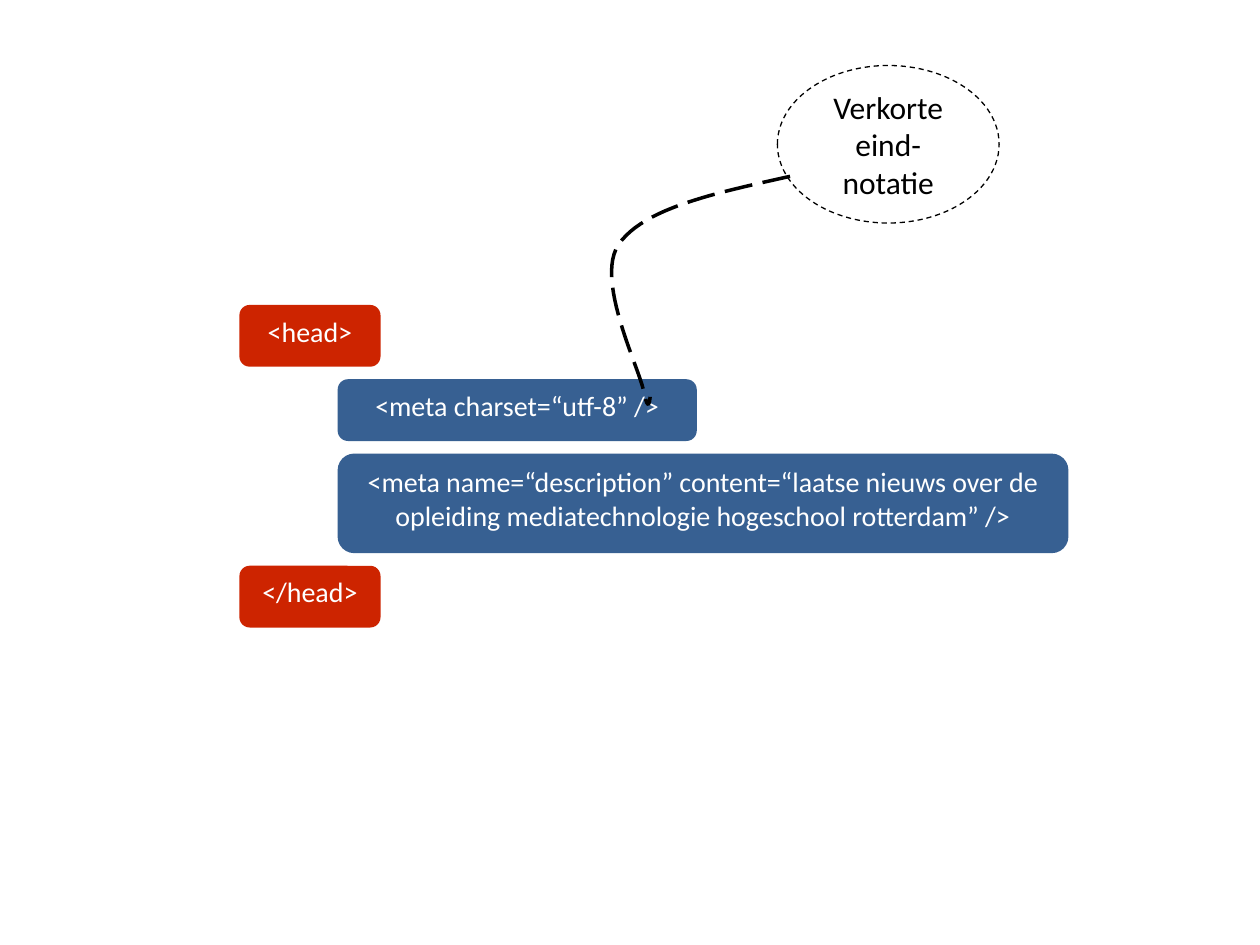
import pptx
import pptx.util
import pptx.dml.color
import pptx.enum.dml
import pptx.enum.shapes
import pptx.enum.text

Inches = pptx.util.Inches
Kind = pptx.enum.shapes.MSO_SHAPE
Dash = pptx.enum.dml.MSO_LINE
Anchor = pptx.enum.text.MSO_ANCHOR

theme = {
    "font": "Calibri", "code": 16, "note": 18,
    "red": "CD2400", "blue": "376092", "white": "FFFFFF", "black": "000000",
}

tags = [
    ("<head>", 0, 1.12, 0.49, "red"),
    ("<meta charset=“utf-8” />", 1, 2.85, 0.49, "blue"),
    ("<meta name=“description” content=“laatse nieuws over de opleiding "
     "mediatechnologie hogeschool rotterdam” />", 1, 5.8, 0.79, "blue"),
    ("</head>", 0, 1.12, 0.49, "red"),
]
left, top, indent, gap = 1.9, 2.42, 0.78, 0.1

note = ("Verkorte eind-notatie", 6.17, 0.52, 1.76, 1.25)

start = (6.27, 1.4)
curves = [
    ((5.69, 1.53), (5.11, 1.65), (4.91, 1.94)),
    ((4.72, 2.22), (5.07, 2.91), (5.11, 3.11)),
    ((5.15, 3.31), (5.16, 3.14), (5.16, 3.15)),
]
steps = 24


def color(name):
    return pptx.dml.color.RGBColor.from_string(theme[name])


def outline(shape, width, dash):
    shape.line.color.rgb = color("black")
    shape.line.width = pptx.util.Pt(width)
    shape.line.dash_style = dash


def add_box(slide, kind, text, box, size, ink, anchor):
    shape = slide.shapes.add_shape(kind, *map(Inches, box))
    shape.shadow.inherit = False
    frame = shape.text_frame
    frame.word_wrap = True
    frame.vertical_anchor = anchor
    para = frame.paragraphs[0]
    para.text = text
    para.alignment = pptx.enum.text.PP_ALIGN.CENTER
    para.font.name = theme["font"]
    para.font.size = pptx.util.Pt(theme[size])
    para.font.color.rgb = color(ink)
    return shape


def bezier(a, b, c, d, t):
    u = 1 - t
    return tuple(
        Inches(u**3 * p + 3 * u * u * t * q + 3 * u * t * t * r + t**3 * s)
        for p, q, r, s in zip(a, b, c, d)
    )


def add_curve(slide):
    points, last = [], start
    for curve in curves:
        points += [bezier(last, *curve, n / steps) for n in range(1, steps + 1)]
        last = curve[-1]
    form = slide.shapes.build_freeform(*map(Inches, start))
    form.add_line_segments(points, close=False)
    shape = form.convert_to_shape()
    shape.shadow.inherit = False
    shape.fill.background()
    outline(shape, 2, Dash.LONG_DASH)


def main():
    deck = pptx.Presentation()
    deck.slide_width, deck.slide_height = Inches(10), Inches(7.5)
    slide = deck.slides.add_slide(deck.slide_layouts[6])

    y = top
    for text, level, width, height, fill in tags:
        box = (left + level * indent, y, width, height)
        shape = add_box(slide, Kind.ROUNDED_RECTANGLE, text, box,
                        "code", "white", Anchor.TOP)
        shape.fill.solid()
        shape.fill.fore_color.rgb = color(fill)
        shape.line.fill.background()
        y += height + gap

    text, *box = note
    shape = add_box(slide, Kind.OVAL, text, box, "note", "black", Anchor.MIDDLE)
    shape.fill.background()
    outline(shape, 0.75, Dash.DASH)

    add_curve(slide)
    deck.save("out.pptx")


if __name__ == "__main__":
    main()
